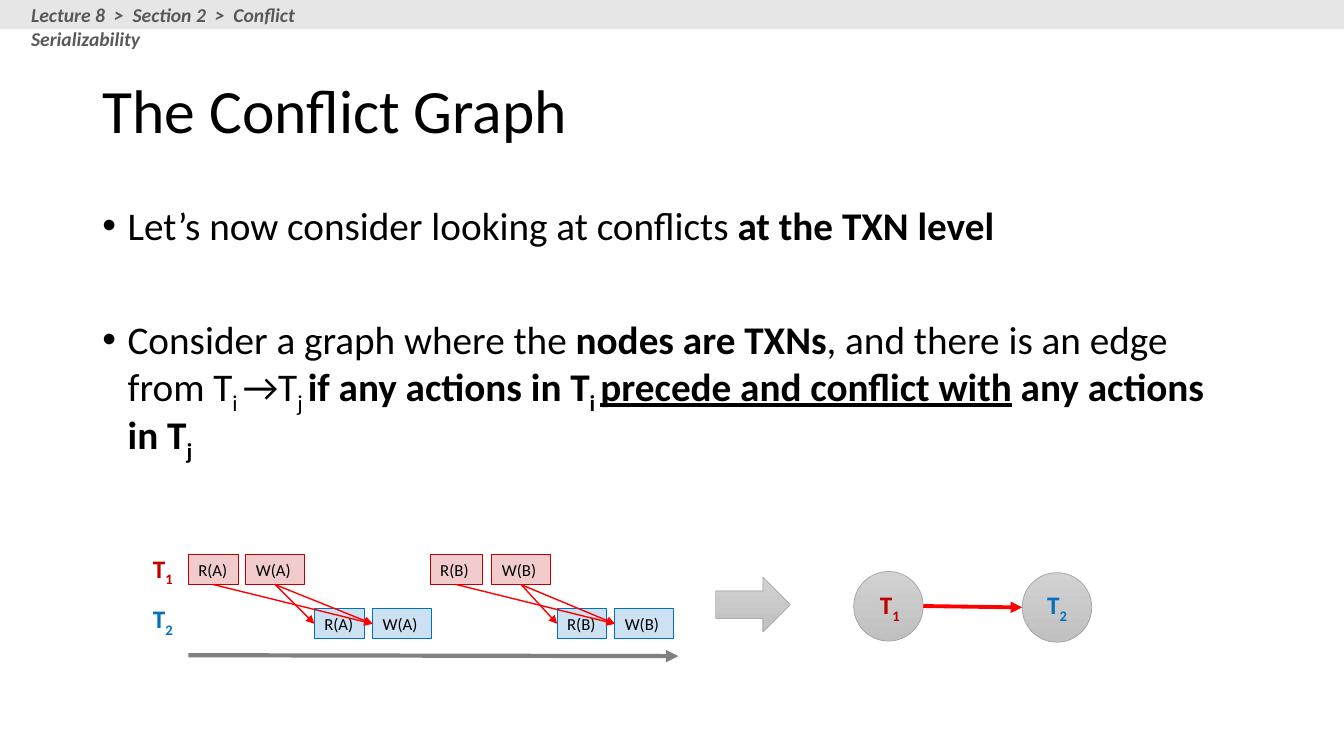
from dataclasses import dataclass
from typing import NamedTuple

from lxml.etree import SubElement
from pptx import Presentation
from pptx.dml.color import RGBColor
from pptx.enum.shapes import MSO_CONNECTOR, MSO_SHAPE
from pptx.enum.text import MSO_ANCHOR, MSO_AUTO_SIZE, PP_ALIGN
from pptx.oxml.ns import qn
from pptx.shapes.autoshape import Shape
from pptx.shapes.connector import Connector
from pptx.slide import Slide
from pptx.text.text import TextFrame, _Paragraph as Paragraph
from pptx.util import Pt


@dataclass(frozen=True)
class Theme:
    font: str = "Calibri"
    text: str = "000000"
    first: str = "C00000"
    second: str = "0070C0"
    conflict: str = "FF0000"
    timeline: str = "808080"
    band: str = "E7E6E6"
    crumb: str = "595959"
    gray_top: str = "D2D2D2"
    gray_bottom: str = "C0C0C0"
    gray_line: str = "A5A5A5"
    title_size: float = 44
    body_size: float = 28
    label_size: float = 18
    crumb_size: float = 14
    action_size: float = 12


THEME = Theme()


class Span(NamedTuple):
    text: str
    bold: bool = False
    sub: bool = False
    underline: bool = False


class Bullet(NamedTuple):
    space_before: float
    spans: list[Span]


class Box(NamedTuple):
    left: float
    top: float
    width: float
    height: float


class Action(NamedTuple):
    txn: int
    name: str
    left: float
    width: float


class Label(NamedTuple):
    txn: int
    left: float
    top: float


BULLETS = [
    Bullet(10, [Span("Let’s now consider looking at conflicts "),
                Span("at the TXN level", bold=True)]),
    Bullet(51, [Span("Consider a graph where the "),
                Span("nodes are TXNs", bold=True),
                Span(", and there is an edge from T"),
                Span("i ", sub=True),
                Span("→T"),
                Span("j ", sub=True),
                Span("if any actions in T", bold=True),
                Span("i ", bold=True, sub=True),
                Span("precede and conflict with", bold=True, underline=True),
                Span(" any actions in T", bold=True),
                Span("j", bold=True, sub=True)]),
]
ACTIONS = [
    Action(1, "R(A)", 134.6, 36), Action(1, "W(A)", 175.7, 41.8),
    Action(1, "R(B)", 307.4, 37.6), Action(1, "W(B)", 351.4, 41.8),
    Action(2, "R(A)", 224.6, 36), Action(2, "W(A)", 266.2, 41.8),
    Action(2, "R(B)", 398, 35.6), Action(2, "W(B)", 439.2, 41.8),
]
ACTION_TOPS = {1: 396, 2: 434.8}
ACTION_HEIGHT = 21.6
TXN_COLORS = {1: THEME.first, 2: THEME.second}
LABELS = [Label(1, 102.2, 391.7), Label(2, 102.2, 427.7),
          Label(1, 621.4, 417.6), Label(2, 740.9, 417.6)]
NODES = [Box(609.8, 408.2, 49.7, 49.7), Box(730.1, 409, 49.7, 49.7)]
BOTTOM_SITE, LEFT_SITE = 2, 1


def rgb(color: str) -> RGBColor:
    return RGBColor.from_string(color)


def points(box: Box) -> list[Pt]:
    return [Pt(value) for value in box]


def write(para: Paragraph, spans: list[Span], size: float, color: str,
          italic: bool = False) -> None:
    for span in spans:
        run = para.add_run()
        run.text = span.text
        run.font.bold = span.bold
        run.font.underline = span.underline
        if span.sub:
            run.font._element.set("baseline", "-25000")
    for font in (para.font, *(run.font for run in para.runs)):
        font.name = THEME.font
        font.size = Pt(size)
        font.color.rgb = rgb(color)
        font.italic = italic


def set_frame(frame: TextFrame, anchor: MSO_ANCHOR, wrap: bool = True) -> Paragraph:
    """Set anchor and wrapping, and return the first paragraph."""
    frame.auto_size = MSO_AUTO_SIZE.NONE
    frame.word_wrap = wrap
    frame.vertical_anchor = anchor
    para = frame.paragraphs[0]
    para.alignment = PP_ALIGN.LEFT
    return para


def place(shape: Shape, box: Box) -> None:
    shape.left, shape.top, shape.width, shape.height = points(box)


def add_title(page: Slide, text: str) -> None:
    title = page.shapes.title
    place(title, Box(66, 28.8, 828, 104.4))
    para = set_frame(title.text_frame, MSO_ANCHOR.MIDDLE)
    para.line_spacing = 0.9
    write(para, [Span(text)], THEME.title_size, THEME.text)


def add_bullets(page: Slide, bullets: list[Bullet]) -> None:
    body = page.placeholders[1]
    place(body, Box(66, 144, 828, 211.7))
    frame = body.text_frame
    para = set_frame(frame, MSO_ANCHOR.TOP)
    for index, bullet in enumerate(bullets):
        if index:
            para = frame.add_paragraph()
        para.line_spacing = 0.9
        para.space_before = Pt(bullet.space_before)
        props = para._p.get_or_add_pPr()
        props.set("marL", str(Pt(18)))
        props.set("indent", str(Pt(-18)))
        SubElement(props, qn("a:buChar")).set("char", "•")
        write(para, bullet.spans, THEME.body_size, THEME.text)


def add_gray_shape(page: Slide, kind: MSO_SHAPE, box: Box) -> None:
    shape = page.shapes.add_shape(kind, *points(box))
    shape.shadow.inherit = False
    shape.fill.gradient()
    shape.fill.gradient_angle = 270
    for stop, color in zip(shape.fill.gradient_stops, (THEME.gray_top, THEME.gray_bottom)):
        stop.color.rgb = rgb(color)
    shape.line.color.rgb = rgb(THEME.gray_line)
    shape.line.width = Pt(0.5)


def add_action(page: Slide, action: Action) -> Shape:
    box = Box(action.left, ACTION_TOPS[action.txn], action.width, ACTION_HEIGHT)
    shape = page.shapes.add_shape(MSO_SHAPE.RECTANGLE, *points(box))
    color = TXN_COLORS[action.txn]
    shape.shadow.inherit = False
    shape.fill.solid()
    shape.fill.fore_color.rgb = rgb(color)
    fill_color = shape._element.spPr.find(qn("a:solidFill"))[0]
    SubElement(fill_color, qn("a:alpha")).set("val", "20000")
    shape.line.color.rgb = rgb(color)
    shape.line.width = Pt(0.75)
    para = set_frame(shape.text_frame, MSO_ANCHOR.MIDDLE)
    shape.text_frame.margin_right = 0
    write(para, [Span(action.name)], THEME.action_size, THEME.text)
    return shape


def add_arrow(page: Slide, ends: Box, color: str, width: float) -> Connector:
    """Draw an arrow; ends holds its start and its offset to the tip."""
    left, top, across, down = ends
    arrow = page.shapes.add_connector(MSO_CONNECTOR.STRAIGHT, Pt(left), Pt(top),
                                      Pt(left + across), Pt(top + down))
    arrow.line.color.rgb = rgb(color)
    arrow.line.width = Pt(width)
    SubElement(arrow.line._get_or_add_ln(), qn("a:tailEnd")).set("type", "triangle")
    SubElement(arrow._element.spPr, qn("a:effectLst"))
    return arrow


def add_label(page: Slide, label: Label) -> None:
    box = Box(label.left, label.top, 29.5, 28.8)
    frame = page.shapes.add_textbox(*points(box)).text_frame
    para = set_frame(frame, MSO_ANCHOR.TOP, wrap=False)
    write(para, [Span("T", bold=True), Span(str(label.txn), bold=True, sub=True)],
          THEME.label_size, TXN_COLORS[label.txn])


def add_schedule(page: Slide) -> None:
    shapes = {(action.txn, action.name): add_action(page, action) for action in ACTIONS}
    for item in "AB":
        for earlier, later in ("WR", "RW", "WW"):
            arrow = add_arrow(page, Box(0, 0, 0, 0), THEME.conflict, 1)
            arrow.begin_connect(shapes[1, f"{earlier}({item})"], BOTTOM_SITE)
            arrow.end_connect(shapes[2, f"{later}({item})"], LEFT_SITE)
    add_arrow(page, Box(134.6, 468, 350, 0.7), THEME.timeline, 3)


def add_header(page: Slide, text: str) -> None:
    band = page.shapes.add_shape(MSO_SHAPE.RECTANGLE, *points(Box(0, 0, 960, 20.9)))
    band.shadow.inherit = False
    band.fill.solid()
    band.fill.fore_color.rgb = rgb(THEME.band)
    band.line.fill.background()
    frame = page.shapes.add_textbox(*points(Box(15.1, 0, 277.9, 24))).text_frame
    para = set_frame(frame, MSO_ANCHOR.TOP)
    frame.margin_top = Pt(2.2)
    write(para, [Span(text, bold=True)], THEME.crumb_size, THEME.crumb, italic=True)


def main() -> None:
    deck = Presentation()
    deck.slide_width, deck.slide_height = Pt(960), Pt(540)
    page = deck.slides.add_slide(deck.slide_layouts[1])
    add_title(page, "The Conflict Graph")
    add_bullets(page, BULLETS)
    for node in NODES:
        add_gray_shape(page, MSO_SHAPE.OVAL, node)
    add_schedule(page)
    for label in LABELS:
        add_label(page, label)
    add_gray_shape(page, MSO_SHAPE.RIGHT_ARROW, Box(511.2, 412.4, 53.3, 39))
    add_arrow(page, Box(659.5, 432.9, 70.6, 1), THEME.conflict, 2.75)
    add_header(page, "Lecture 8  >  Section 2  >  Conflict Serializability")
    deck.save("out.pptx")


if __name__ == "__main__":
    main()
